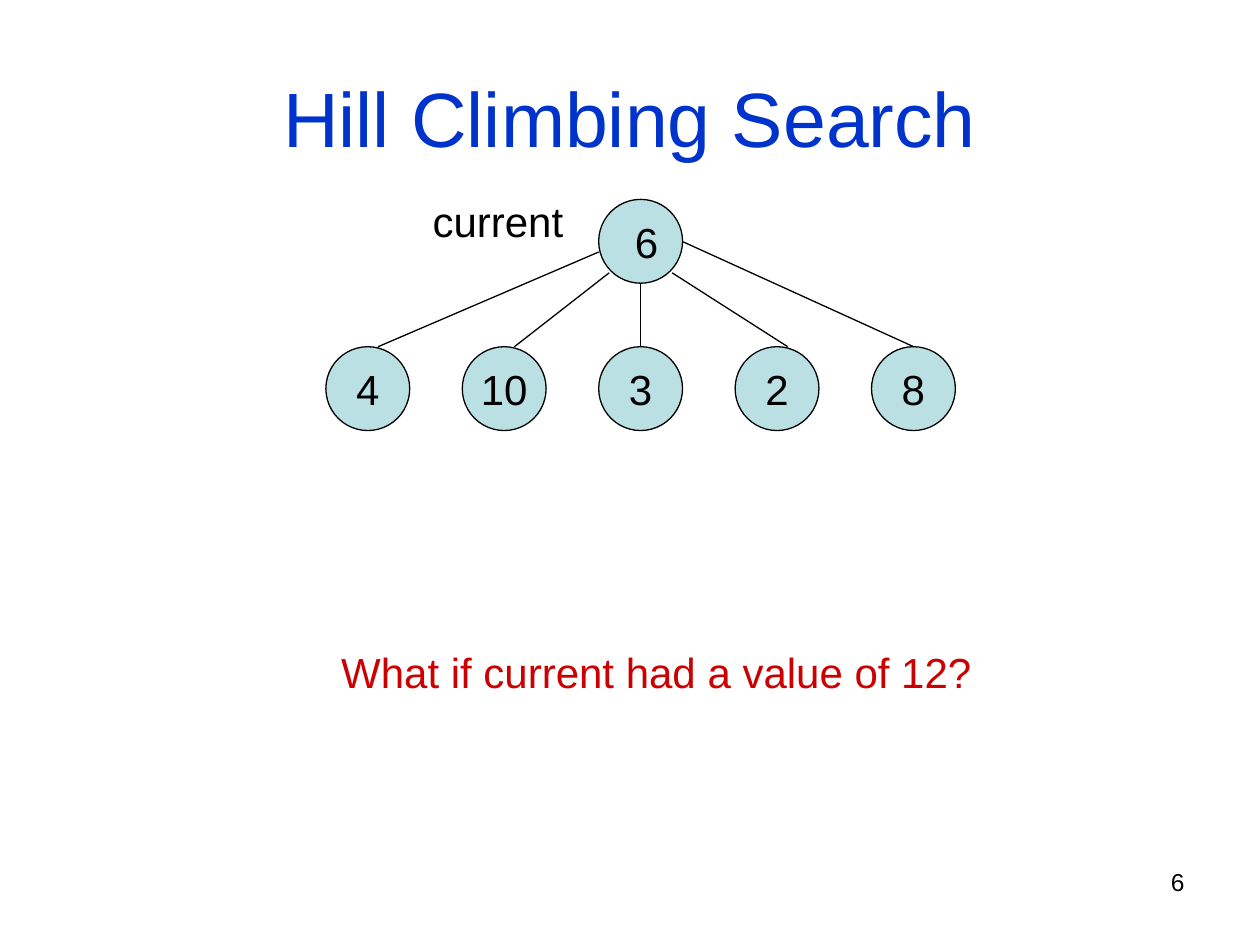
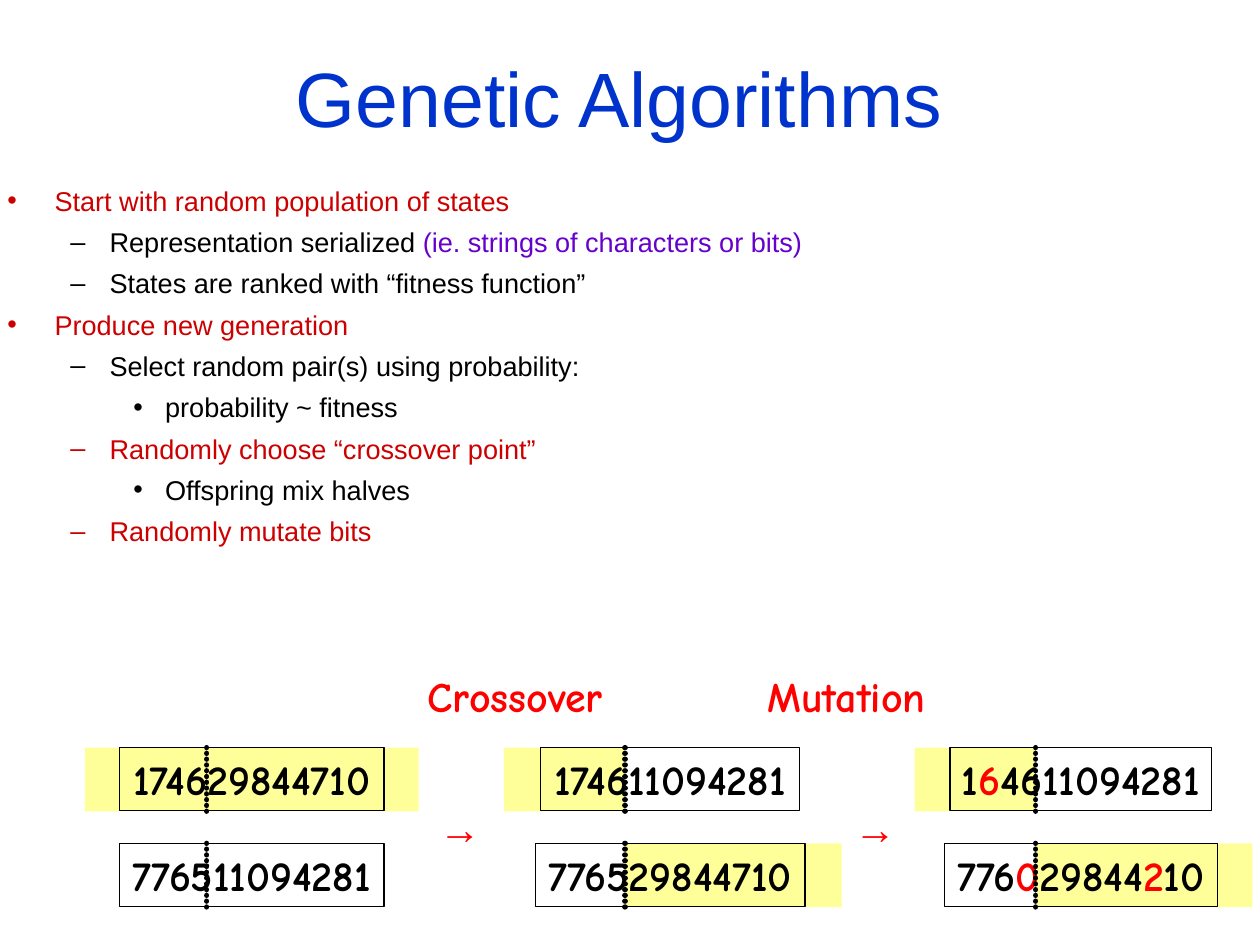
from dataclasses import dataclass

from lxml.etree import SubElement
from pptx import Presentation
from pptx.dml.color import RGBColor
from pptx.enum.shapes import MSO_CONNECTOR, MSO_SHAPE
from pptx.enum.text import MSO_ANCHOR as Anchor, PP_ALIGN as Align
from pptx.oxml.ns import qn
from pptx.util import Cm, Pt

BLACK, TITLE_BLUE, RED, BRIGHT_RED = "000000", "0033CC", "CC0000", "FF0000"
PURPLE, NODE_BLUE, YELLOW = "6600CC", "BBE0E3", "FFFF99"
BODY_FONT, GENE_FONT = "Arial", "Comic Neue"


@dataclass(frozen=True)
class Span:
    text: str
    color: str = BLACK


@dataclass(frozen=True)
class Style:
    size: float = 24
    font: str = BODY_FONT
    bold: bool = False


@dataclass(frozen=True)
class Label:
    text: str
    left: float
    top: float
    width: float
    color: str = BLACK
    style: Style = Style()
    align: Align = Align.LEFT


@dataclass(frozen=True)
class Level:
    margin: float
    hanging: float
    mark: str


@dataclass(frozen=True)
class Bullet:
    level: int
    spans: tuple[Span, ...]


@dataclass(frozen=True)
class Gene:
    """A digit string; the yellow band runs between offsets from the cut."""
    spans: tuple[Span, ...]
    width: float
    band: tuple[float, float] | None = None


@dataclass(frozen=True)
class Stage:
    cut: float
    genes: tuple[Gene, Gene]


GENE_STYLE = Style(font=GENE_FONT, bold=True)
ARROW_STYLE = Style(bold=True)


# Shared drawing functions
def rgb(color: str) -> RGBColor:
    return RGBColor.from_string(color)


def add_spans(paragraph, spans, style: Style) -> None:
    for span in spans:
        run = paragraph.add_run()
        run.text = span.text
        font = run.font
        font.name, font.size, font.bold = style.font, Pt(style.size), style.bold
        font.color.rgb = rgb(span.color)


def add_titled_slide(deck, title: str, height: float):
    slide = deck.slides.add_slide(deck.slide_layouts[5])
    heading = slide.shapes.title
    heading.left, heading.top = Cm(1.27), Cm(0.76)
    heading.width, heading.height = Cm(22.86), Cm(height)
    heading.text_frame.vertical_anchor = Anchor.MIDDLE
    paragraph = heading.text_frame.paragraphs[0]
    paragraph.alignment = Align.CENTER
    add_spans(paragraph, [Span(title, TITLE_BLUE)], Style(44))
    return slide


def add_label(slide, label: Label) -> None:
    box = slide.shapes.add_textbox(Cm(label.left), Cm(label.top), Cm(label.width), Cm(1.27))
    box.text_frame.word_wrap = True
    paragraph = box.text_frame.paragraphs[0]
    paragraph.alignment = label.align
    add_spans(paragraph, [Span(label.text, label.color)], label.style)


def add_figure(slide, kind, left: float, top: float, width: float, height: float,
               fill: str | None = None, outlined: bool = True):
    figure = slide.shapes.add_shape(kind, Cm(left), Cm(top), Cm(width), Cm(height))
    figure.shadow.inherit = False
    if fill:
        figure.fill.solid()
        figure.fill.fore_color.rgb = rgb(fill)
    else:
        figure.fill.background()
    if outlined:
        figure.line.color.rgb = rgb(BLACK)
        figure.line.width = Pt(0.75)
    else:
        figure.line.fill.background()
    return figure


def write_centred(figure, spans, style: Style):
    frame = figure.text_frame
    frame.word_wrap = False
    frame.vertical_anchor = Anchor.MIDDLE
    frame.paragraphs[0].alignment = Align.CENTER
    add_spans(frame.paragraphs[0], spans, style)
    return frame


def add_line(slide, start: tuple[float, float], end: tuple[float, float],
             weight: float = 0.75):
    line = slide.shapes.add_connector(
        MSO_CONNECTOR.STRAIGHT, Cm(start[0]), Cm(start[1]), Cm(end[0]), Cm(end[1]))
    line.line.color.rgb = rgb(BLACK)
    line.line.width = Pt(weight)
    SubElement(line.element.spPr, qn("a:effectLst"))
    return line


# Hill climbing: one current state and its neighbours
NODE_SIZE, NODE_STEP, FIRST_LEFT = 1.69, 2.75, 6.57
CURRENT_TOP, NEIGHBOUR_TOP = 4.02, 6.99
NEIGHBOURS = ("4", "10", "3", "2", "8")
BRANCHES = (  # start on the current state, end on a neighbour
    ((12.91, 5.71), (12.91, 6.99)),
    ((12.28, 5.5), (10.37, 6.99)),
    ((13.55, 5.5), (15.88, 6.99)),
    ((12.07, 5.08), (7.62, 6.99)),
    ((13.76, 4.87), (18.42, 6.99)),
)
HILL_LABELS = (
    Label("current", 8.47, 3.81, 3.4),
    Label("What if current had a value of 12?", 6.63, 12.9, 13.8, RED),
    Label("6", 18.2, 17.35, 5.93, style=Style(14), align=Align.RIGHT),
)


def add_node(slide, value: str, column: int, top: float):
    node = add_figure(slide, MSO_SHAPE.OVAL, FIRST_LEFT + column * NODE_STEP, top,
                      NODE_SIZE, NODE_SIZE, NODE_BLUE)
    return write_centred(node, [Span(value)], Style())


def build_hill_climbing(deck) -> None:
    slide = add_titled_slide(deck, "Hill Climbing Search", 3.18)
    current = add_node(slide, "6", 2, CURRENT_TOP)
    current.margin_left = Cm(0.49)
    for column, value in enumerate(NEIGHBOURS):
        add_node(slide, value, column, NEIGHBOUR_TOP)
    for start, end in BRANCHES:
        add_line(slide, start, end)
    for label in HILL_LABELS:
        add_label(slide, label)


# Genetic algorithms: outline and worked example
LEVELS = (Level(0.95, 0.95, "•"), Level(2.06, 0.79, "–"), Level(3.18, 0.64, "•"))
OUTLINE = (
    Bullet(0, (Span("Start with random population of states", RED),)),
    Bullet(1, (Span("Representation serialized "),
               Span("(ie. strings of characters or bits)", PURPLE))),
    Bullet(1, (Span("States are ranked with “fitness function”"),)),
    Bullet(0, (Span("Produce new generation", RED),)),
    Bullet(1, (Span("Select random pair(s) using probability:"),)),
    Bullet(2, (Span("probability ~ fitness"),)),
    Bullet(1, (Span("Randomly choose “crossover point”", RED),)),
    Bullet(2, (Span("Offspring mix halves"),)),
    Bullet(1, (Span("Randomly mutate bits", RED),)),
)
GENE_TOPS, GENE_HEIGHT, BAND_HEIGHT = (15.07, 17), 1.27, 1.29
CUT_TO_CENTRE = 0.91
HEAD_BAND, TAIL_BAND, FULL_BAND = (-2.44, 0), (0, 4.37), (-2.46, 4.27)
STAGES = (
    Stage(4.17, (Gene((Span("174629844710"),), 5.33, FULL_BAND),
                 Gene((Span("776511094281"),), 5.33))),
    Stage(12.6, (Gene((Span("174611094281"),), 5.23, HEAD_BAND),
                 Gene((Span("776529844710"),), 5.44, TAIL_BAND))),
    Stage(20.88, (Gene((Span("1"), Span("6", BRIGHT_RED), Span("4611094281")),
                       5.28, HEAD_BAND),
                  Gene((Span("776"), Span("0", BRIGHT_RED), Span("29844"),
                        Span("2", BRIGHT_RED), Span("10")), 5.51, TAIL_BAND))),
)
STEP_LABELS = (
    Label("Crossover", 8.37, 13.4, 4.8, BRIGHT_RED, GENE_STYLE),
    Label("Mutation", 15.22, 13.4, 4.8, BRIGHT_RED, GENE_STYLE),
    Label("→", 8.6, 16.06, 1.5, BRIGHT_RED, ARROW_STYLE),
    Label("→", 16.97, 16.06, 1.5, BRIGHT_RED, ARROW_STYLE),
)


def add_bullet_mark(paragraph, level: Level, color: str) -> None:
    properties = paragraph._p.get_or_add_pPr()
    properties.set("marL", str(Cm(level.margin)))
    properties.set("indent", str(-Cm(level.hanging)))
    mark_color = SubElement(properties, qn("a:buClr"))
    SubElement(mark_color, qn("a:srgbClr"), val=color)
    SubElement(properties, qn("a:buFont"), typeface=BODY_FONT)
    SubElement(properties, qn("a:buChar"), char=level.mark)


def add_outline(slide) -> None:
    frame = slide.shapes.add_textbox(Cm(-0.1), Cm(3.59), Cm(25.4), Cm(7.82)).text_frame
    frame.word_wrap = True
    for index, bullet in enumerate(OUTLINE):
        paragraph = frame.add_paragraph() if index else frame.paragraphs[0]
        paragraph.level = bullet.level
        add_bullet_mark(paragraph, LEVELS[bullet.level], bullet.spans[0].color)
        paragraph.space_before = Pt(5 if index else 0)
        add_spans(paragraph, bullet.spans, Style(15.5))


def make_dotted(line) -> None:
    """Set round dots that almost touch."""
    stroke = line.element.spPr.find(qn("a:ln"))
    stroke.set("cap", "rnd")
    dashes = SubElement(stroke, qn("a:custDash"))
    SubElement(dashes, qn("a:ds"), d="100000", sp="10000")


def add_gene(slide, gene: Gene, cut: float, top: float) -> None:
    if gene.band:
        start, end = gene.band
        add_figure(slide, MSO_SHAPE.RECTANGLE, cut + start, top, end - start,
                   BAND_HEIGHT, YELLOW, outlined=False)
    left = cut + CUT_TO_CENTRE - gene.width / 2
    frame = add_figure(slide, MSO_SHAPE.RECTANGLE, left, top, gene.width, GENE_HEIGHT)
    write_centred(frame, gene.spans, GENE_STYLE)
    make_dotted(add_line(slide, (cut, top), (cut, top + BAND_HEIGHT), 3))


def build_genetic_algorithms(deck) -> None:
    slide = add_titled_slide(deck, "Genetic Algorithms ", 2.39)
    add_outline(slide)
    for stage in STAGES:
        for gene, top in zip(stage.genes, GENE_TOPS):
            add_gene(slide, gene, stage.cut, top)
    for label in STEP_LABELS:
        add_label(slide, label)


def main() -> None:
    deck = Presentation()
    deck.slide_width, deck.slide_height = Cm(25.4), Cm(19.05)
    build_hill_climbing(deck)
    build_genetic_algorithms(deck)
    deck.save("out.pptx")


if __name__ == "__main__":
    main()
